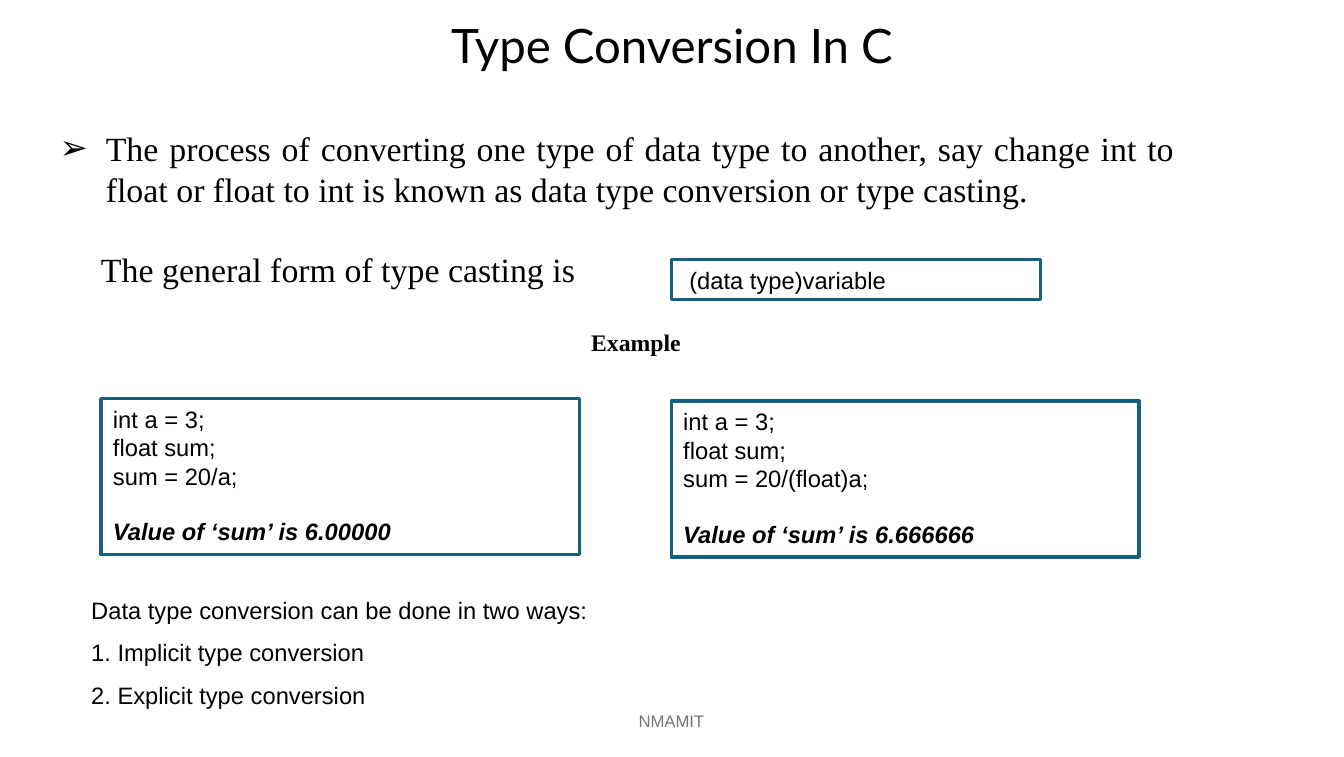
import pptx
import pptx.dml.color
import pptx.enum.shapes
import pptx.enum.text
import pptx.oxml
import pptx.oxml.ns
import pptx.util

WIDTH, HEIGHT = 11.03, 6.21
ALIGN = pptx.enum.text.PP_ALIGN
ANCHOR = pptx.enum.text.MSO_ANCHOR
CODE = {"name": "Arial", "size": 14}
RESULT = {**CODE, "bold": True, "italic": True}
SERIF = {"name": "Times New Roman", "size": 20}


def color(value):
    return pptx.dml.color.RGBColor.from_string(value)


def share(left, top, width, height):
    return [pptx.util.Inches(round(percent * side / 100, 3))
            for percent, side in zip((left, top, width, height), (WIDTH, HEIGHT) * 2)]


def add_bullet(p, char):
    pPr = p._p.get_or_add_pPr()
    ns = pptx.oxml.ns.nsdecls("a")
    for xml in (f'<a:buClr {ns}><a:srgbClr val="000000"/></a:buClr>',
                f'<a:buFont {ns} typeface="Arial"/>',
                f'<a:buChar {ns} char="{char}"/>'):
        pPr.append(pptx.oxml.parse_xml(xml))


def set_indent(p, left, first=0):
    pPr = p._p.get_or_add_pPr()
    pPr.set("marL", str(pptx.util.Inches(left)))
    pPr.set("indent", str(pptx.util.Inches(first)))


def write(p, text, font, fill="000000", **layout):
    r = p.add_run()
    r.text = text
    for key, value in font.items():
        setattr(r.font, key, pptx.util.Pt(value) if key == "size" else value)
    r.font.color.rgb = color(fill)
    for key, value in layout.items():
        setattr(p, key, value)


def set_frame(sp, anchor=ANCHOR.TOP):
    tf = sp.text_frame
    tf.word_wrap = True
    tf.vertical_anchor = anchor
    return tf


def add_text(s, place, anchor=ANCHOR.TOP):
    return set_frame(s.shapes.add_textbox(*share(*place)), anchor)


def add_box(s, place):
    sp = s.shapes.add_shape(pptx.enum.shapes.MSO_SHAPE.RECTANGLE, *share(*place))
    sp.shadow.inherit = False
    sp.fill.solid()
    sp.fill.fore_color.rgb = color("FFFFFF")
    sp.line.color.rgb = color("156082")
    sp.line.width = pptx.util.Pt(2)
    return set_frame(sp)


def add_lines(tf, lines, font, **layout):
    for i, line in enumerate(lines):
        p = tf.add_paragraph() if i else tf.paragraphs[0]
        write(p, line, font, **layout)


def add_code(s, place, formula, value):
    tf = add_box(s, place)
    add_lines(tf, ["int a = 3;", "float sum;", f"sum = {formula};"], CODE, alignment=ALIGN.LEFT)
    write(tf.add_paragraph(), f"Value of ‘sum’ is {value}", RESULT,
          alignment=ALIGN.LEFT, space_before=pptx.util.Pt(16))


def add_title(s, text):
    sp = s.shapes.title
    for key, value in zip(("left", "top", "width", "height"), share(6.89, 1.45, 86.22, 9.82)):
        setattr(sp, key, value)
    tf = set_frame(sp, ANCHOR.MIDDLE)
    write(tf.paragraphs[0], text, {"name": "Lato", "size": 28},
          alignment=ALIGN.CENTER, line_spacing=0.9)


def add_definition(s):
    tf = add_text(s, (3.54, 16.1, 84.77, 23.83))
    p = tf.paragraphs[0]
    set_indent(p, 0.38, -0.38)
    add_bullet(p, "➢")
    write(p, "The process of converting one type of data type to another, say change int to "
          "float or float to int is known as data type conversion or type casting.",
          SERIF, alignment=ALIGN.JUSTIFY)
    p = tf.add_paragraph()
    set_indent(p, 0.34)
    write(p, "The general form of type casting is", SERIF,
          alignment=ALIGN.JUSTIFY, space_before=pptx.util.Pt(23))


def main():
    prs = pptx.Presentation()
    prs.slide_width = pptx.util.Inches(WIDTH)
    prs.slide_height = pptx.util.Inches(HEIGHT)
    s = prs.slides.add_slide(prs.slide_layouts[5])

    add_title(s, "Type Conversion In C")
    add_definition(s)

    p = add_box(s, (49.95, 34.3, 27.47, 5.31)).paragraphs[0]
    set_indent(p, 0.05)
    write(p, "(data type)variable", CODE, alignment=ALIGN.LEFT)

    tf = add_text(s, (39.53, 42.51, 15.59, 5.31))
    write(tf.paragraphs[0], "Example", {**SERIF, "size": 14, "bold": True},
          alignment=ALIGN.CENTER)

    add_code(s, (7.52, 52.66, 35.63, 20.61), "20/a", "6.00000")
    add_code(s, (49.95, 52.98, 34.81, 20.61), "20/(float)a", "6.666666")

    add_lines(add_text(s, (5.89, 76.01, 92.57, 18.84)),
              ["Data type conversion can be done in two ways:",
               "1. Implicit type conversion",
               "2. Explicit type conversion"], CODE, line_spacing=1.5)

    tf = add_text(s, (33.09, 92.59, 33.73, 5.31), ANCHOR.MIDDLE)
    write(tf.paragraphs[0], "NMAMIT", {"name": "Arial", "size": 9.9}, "757575",
          alignment=ALIGN.CENTER)

    prs.save("out.pptx")


if __name__ == "__main__":
    main()
